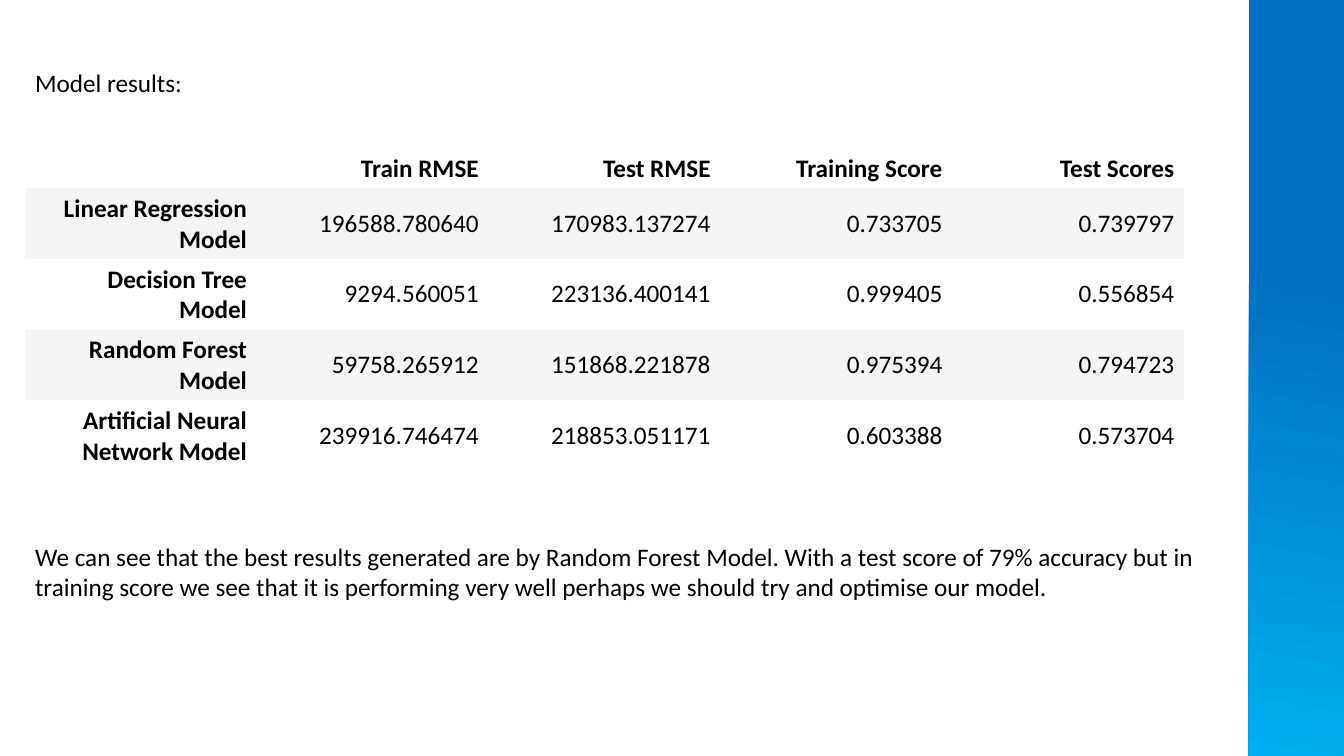
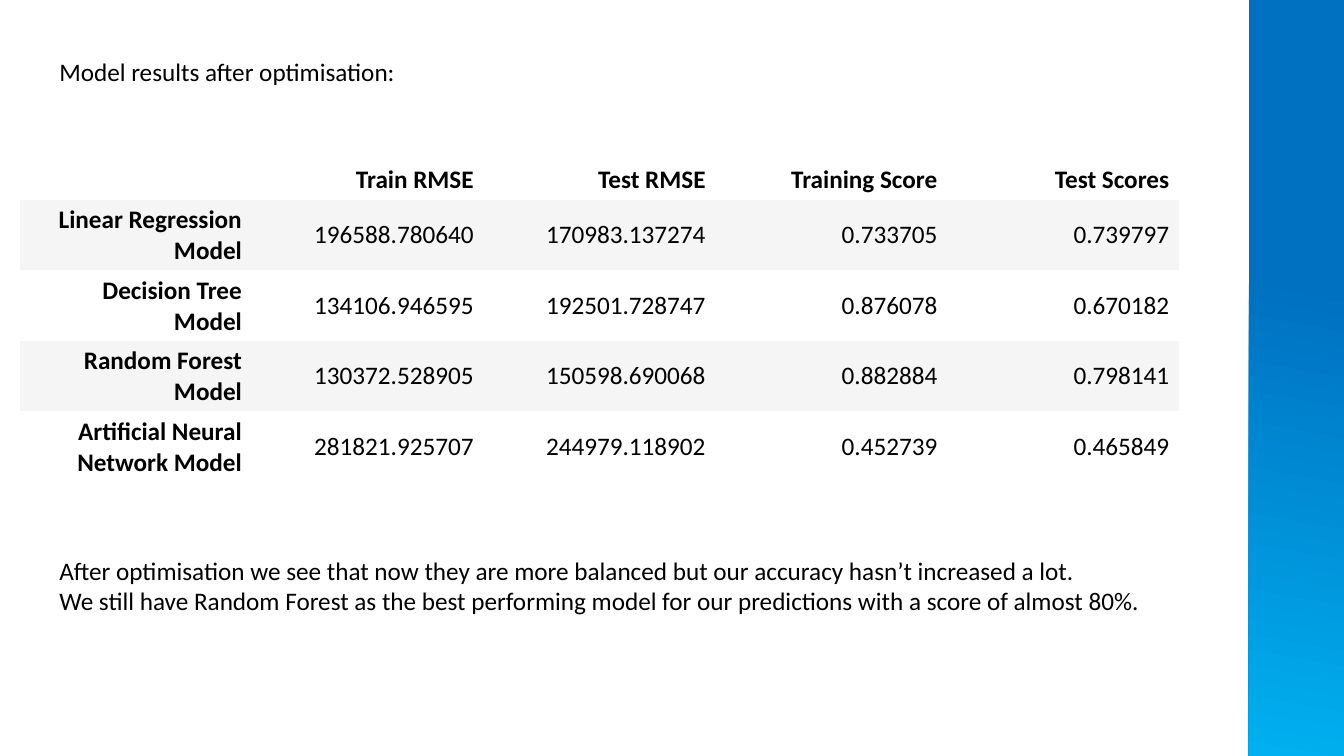
from dataclasses import dataclass

from pptx import Presentation
from pptx.dml.color import RGBColor
from pptx.enum.shapes import MSO_SHAPE
from pptx.enum.text import MSO_ANCHOR, PP_ALIGN
from pptx.slide import Slide
from pptx.text.text import TextFrame
from pptx.util import Pt

RECTANGLE = MSO_SHAPE.RECTANGLE
MIDDLE = MSO_ANCHOR.MIDDLE
LEFT = PP_ALIGN.LEFT
RIGHT = PP_ALIGN.RIGHT
BLANK_LAYOUT = 6
NO_STYLE_NO_GRID = "{2D5ABB26-0587-4C30-8999-92F81FD0307C}"


@dataclass(frozen=True)
class Theme:
    font: str = "Calibri"
    text_size: float = 18
    text: RGBColor = RGBColor(0x00, 0x00, 0x00)
    plain_row: RGBColor = RGBColor(0xFF, 0xFF, 0xFF)
    shaded_row: RGBColor = RGBColor(0xF5, 0xF5, 0xF5)
    band_start: RGBColor = RGBColor(0x00, 0x70, 0xC0)
    band_end: RGBColor = RGBColor(0x00, 0xB0, 0xF0)


@dataclass(frozen=True)
class Box:
    left: float
    top: float
    width: float
    height: float


@dataclass(frozen=True)
class ResultsPage:
    heading: str
    heading_box: Box
    conclusion: str
    conclusion_box: Box
    table_left: float
    table_top: float
    scores: tuple[tuple[str, ...], ...]


THEME = Theme()
SLIDE_WIDTH = 960
SLIDE_HEIGHT = 540
BAND = Box(892, 0, 68, SLIDE_HEIGHT)
BAND_ANGLE = 260
COLUMN_WIDTH = 165.6
HEADER_HEIGHT = 28.8
ROW_HEIGHT = 50.4

HEADERS = ("", "Train RMSE", "Test RMSE", "Training Score", "Test Scores")
MODELS = (
    "Linear Regression Model",
    "Decision Tree Model",
    "Random Forest Model",
    "Artificial Neural Network Model",
)

PAGES = (
    ResultsPage(
        heading="Model results:",
        heading_box=Box(18, 44.6, 867, 28.8),
        conclusion=(
            "We can see that the best results generated are by Random Forest Model. "
            "With a test score of 79% accuracy but in training score we see that it is "
            "performing very well perhaps we should try and optimise our model."
        ),
        conclusion_box=Box(18, 383, 867, 51),
        table_left=18,
        table_top=105.8,
        scores=(
            ("196588.780640", "170983.137274", "0.733705", "0.739797"),
            ("9294.560051", "223136.400141", "0.999405", "0.556854"),
            ("59758.265912", "151868.221878", "0.975394", "0.794723"),
            ("239916.746474", "218853.051171", "0.603388", "0.573704"),
        ),
    ),
    ResultsPage(
        heading="Model results after optimisation:",
        heading_box=Box(35.3, 36.7, 825, 28.8),
        conclusion=(
            "After optimisation we see that now they are more balanced but our accuracy "
            "hasn’t increased a lot.\n"
            "We still have Random Forest as the best performing model for our predictions "
            "with a score of almost 80%."
        ),
        conclusion_box=Box(35.3, 393, 825, 73),
        table_left=14.4,
        table_top=113.8,
        scores=(
            ("196588.780640", "170983.137274", "0.733705", "0.739797"),
            ("134106.946595", "192501.728747", "0.876078", "0.670182"),
            ("130372.528905", "150598.690068", "0.882884", "0.798141"),
            ("281821.925707", "244979.118902", "0.452739", "0.465849"),
        ),
    ),
)


def set_text(
    text_frame: TextFrame, text: str, bold: bool = False, alignment: PP_ALIGN = LEFT
) -> None:
    text_frame.text = text
    for paragraph in text_frame.paragraphs:
        paragraph.alignment = alignment
        paragraph.font.size = Pt(THEME.text_size)
        for run in paragraph.runs:
            run.font.name = THEME.font
            run.font.size = Pt(THEME.text_size)
            run.font.bold = bold
            run.font.color.rgb = THEME.text


def add_band(slide: Slide) -> None:
    band = slide.shapes.add_shape(
        RECTANGLE, Pt(BAND.left), Pt(BAND.top), Pt(BAND.width), Pt(BAND.height)
    )
    band.shadow.inherit = False
    band.line.fill.background()
    band.fill.gradient()
    band.fill.gradient_angle = BAND_ANGLE
    first_stop, last_stop = band.fill.gradient_stops
    first_stop.position = 0.37
    first_stop.color.rgb = THEME.band_start
    last_stop.position = 1
    last_stop.color.rgb = THEME.band_end


def add_text(slide: Slide, box: Box, text: str) -> None:
    shape = slide.shapes.add_textbox(
        Pt(box.left), Pt(box.top), Pt(box.width), Pt(box.height)
    )
    shape.text_frame.word_wrap = True
    set_text(shape.text_frame, text)


def add_results_table(slide: Slide, page: ResultsPage) -> None:
    rows = [HEADERS] + [
        (model, *scores) for model, scores in zip(MODELS, page.scores)
    ]
    frame = slide.shapes.add_table(
        len(rows),
        len(HEADERS),
        Pt(page.table_left),
        Pt(page.table_top),
        Pt(COLUMN_WIDTH * len(HEADERS)),
        Pt(HEADER_HEIGHT + ROW_HEIGHT * len(MODELS)),
    )
    frame.element.xpath(".//a:tableStyleId")[0].text = NO_STYLE_NO_GRID
    table = frame.table
    table.first_row = False
    table.horz_banding = False
    for column in table.columns:
        column.width = Pt(COLUMN_WIDTH)
    for row_index, values in enumerate(rows):
        table.rows[row_index].height = Pt(ROW_HEIGHT if row_index else HEADER_HEIGHT)
        row_color = THEME.shaded_row if row_index % 2 else THEME.plain_row
        for column_index, value in enumerate(values):
            cell = table.cell(row_index, column_index)
            cell.fill.solid()
            cell.fill.fore_color.rgb = row_color
            cell.vertical_anchor = MIDDLE
            is_label = row_index == 0 or column_index == 0
            set_text(cell.text_frame, value, bold=is_label, alignment=RIGHT)


def main() -> None:
    presentation = Presentation()
    presentation.slide_width = Pt(SLIDE_WIDTH)
    presentation.slide_height = Pt(SLIDE_HEIGHT)
    for page in PAGES:
        slide = presentation.slides.add_slide(presentation.slide_layouts[BLANK_LAYOUT])
        add_band(slide)
        add_text(slide, page.heading_box, page.heading)
        add_text(slide, page.conclusion_box, page.conclusion)
        add_results_table(slide, page)
    presentation.save("out.pptx")


if __name__ == "__main__":
    main()
